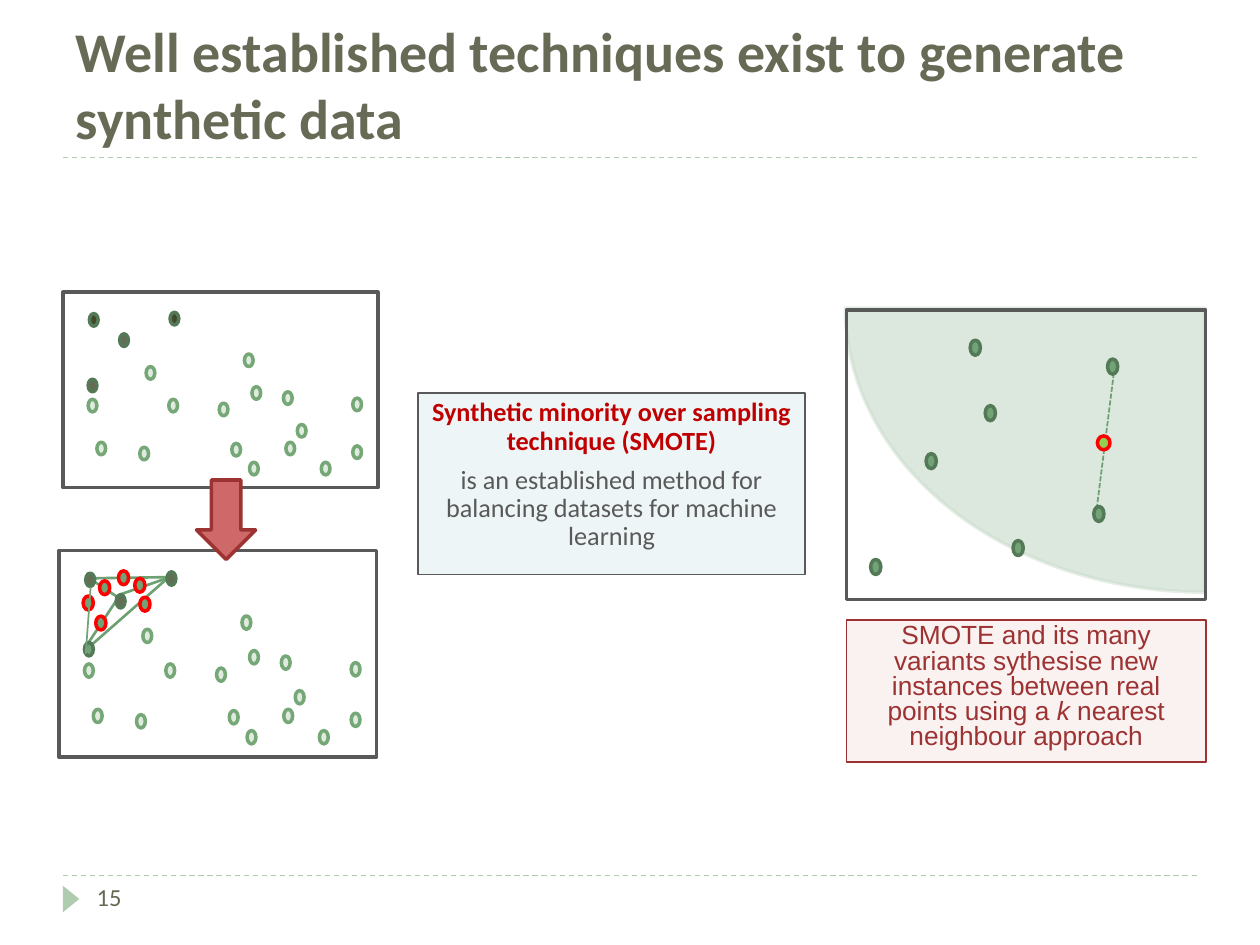
from lxml import etree
from pptx import Presentation
from pptx.dml.color import RGBColor
from pptx.enum.dml import MSO_LINE
from pptx.enum.shapes import MSO_CONNECTOR, MSO_SHAPE
from pptx.enum.text import MSO_ANCHOR, MSO_AUTO_SIZE, PP_ALIGN
from pptx.oxml.ns import qn
from pptx.util import Pt

RECTANGLE, OVAL = MSO_SHAPE.RECTANGLE, MSO_SHAPE.OVAL
TRIANGLE, DOWN_ARROW, PIE = MSO_SHAPE.ISOSCELES_TRIANGLE, MSO_SHAPE.DOWN_ARROW, MSO_SHAPE.PIE
DASH, FINE_DASH = MSO_LINE.DASH, MSO_LINE.SQUARE_DOT
STRAIGHT = MSO_CONNECTOR.STRAIGHT
LEFT, CENTER = PP_ALIGN.LEFT, PP_ALIGN.CENTER
TOP, BOTTOM = MSO_ANCHOR.TOP, MSO_ANCHOR.BOTTOM

COLORS = {
    "olive": "676A55", "dark olive": "45472B", "gray": "595959",
    "rule": "B0CCB0", "pale blue": "EEF5F7", "crimson": "C00000",
    "area": "AAC8AD", "area edge": "C7DAC8", "green": "72A376",
    "dark green": "547957", "link": "6EA172", "pale green": "DFEBDF",
    "ring": "76A776", "lime": "92D050", "red": "FF0000",
    "brick": "9D3232", "rose": "CF6868", "pale rose": "FAF1F1",
}

# Top left corners of the dots, measured from the corner of their panel.
MINORITY = [(15.1, 12.2), (61.2, 11.5), (32.4, 23.8), (14.4, 49.7)]
MAJORITY = [
    (47.5, 42.5), (60.5, 61.2), (165.6, 60.5), (89.3, 63.4),
    (14.4, 61.2), (106.6, 97.2), (103.7, 35.3), (133.9, 75.6),
    (108, 54), (165.6, 87.8), (43.9, 88.6), (126, 56.9),
    (127.4, 85.7), (19.4, 85.7), (147.6, 97.2), (96.5, 86.4),
]
SYNTHETIC = [(79.9, 341.3), (47.5, 340.6), (54.7, 352.1),
             (67.7, 326.2), (56.9, 331.9), (77, 330.5)]
LINKS = [
    (49.7, 370.8, 96.5, 329.8), (96.5, 329.8, 49.7, 330.5),
    (49.7, 368.6, 67.7, 341.3), (51.1, 330.5, 68.4, 342),
    (68.4, 339.8, 97.2, 329.8),
]
NEIGHBOURS = [(554.4, 194.4), (632.9, 205.2), (529.2, 259.2), (578.9, 308.9),
              (497.5, 319.7), (563, 231.8), (625, 289.4)]


def rgb(name):
    return RGBColor.from_string(COLORS[name])


def set_opacity(color_parent, percent):
    color = color_parent.find(".//" + qn("a:srgbClr"))
    etree.SubElement(color, qn("a:alpha"), val=str(percent * 1000))


class SlideBuilder:
    def __init__(self, slide):
        self.slide = slide
        self.shapes = slide.shapes

    def start_group(self):
        self.shapes = self.slide.shapes.add_group_shape().shapes

    def end_group(self):
        self.shapes = self.slide.shapes

    def shape(self, kind, left, top, width, height, fill=None, line=None, weight=2):
        shape = self.shapes.add_shape(kind, Pt(left), Pt(top), Pt(width), Pt(height))
        shape.shadow.inherit = False
        if fill:
            shape.fill.solid()
            shape.fill.fore_color.rgb = rgb(fill)
        else:
            shape.fill.background()
        if line:
            shape.line.color.rgb = rgb(line)
            shape.line.width = Pt(weight)
        else:
            shape.line.fill.background()
        return shape

    def line(self, x1, y1, x2, y2, color, weight, dash=None):
        connector = self.shapes.add_connector(STRAIGHT, Pt(x1), Pt(y1), Pt(x2), Pt(y2))
        connector.line.color.rgb = rgb(color)
        connector.line.width = Pt(weight)
        if dash:
            connector.line.dash_style = dash
        etree.SubElement(connector._element.spPr, qn("a:effectLst"))

    def dots(self, corners, width, height, fill, line):
        for left, top in corners:
            self.shape(OVAL, left, top, width, height, fill, line)

    def panel(self, left, top, width, height, minority_fills):
        """Draw a frame with the two classes of dots scaled to its size."""
        x_scale, y_scale = width / 180, height / 111.6
        size = 5 * x_scale, 7.2 * y_scale
        self.shape(RECTANGLE, left, top, width, height, line="gray")

        def place(corner):
            return left + corner[0] * x_scale, top + corner[1] * y_scale

        for corner, fill in zip(MINORITY, minority_fills):
            self.dots([place(corner)], *size, fill, "dark green")
        self.dots([place(corner) for corner in MAJORITY], *size, "pale green", "ring")

    def text(self, shape, paragraphs, font, size, color, align=CENTER, anchor=TOP,
             spacing=1, gap=0, insets=(7.2, 3.6)):
        """Fill a shape with paragraphs, each a list of (text, italic) runs."""
        frame = shape.text_frame
        frame.word_wrap = True
        frame.auto_size = MSO_AUTO_SIZE.NONE
        frame.vertical_anchor = anchor
        frame.margin_left = frame.margin_right = Pt(insets[0])
        frame.margin_top = frame.margin_bottom = Pt(insets[1])
        for index, runs in enumerate(paragraphs):
            paragraph = frame.add_paragraph() if index else frame.paragraphs[0]
            paragraph.alignment = align
            paragraph.line_spacing = spacing
            paragraph.space_before = Pt(gap if index else 0)
            for content, italic in runs:
                run = paragraph.add_run()
                run.text = content
                if italic:
                    run.font.italic = True
            paragraph.font.name = font
            paragraph.font.size = Pt(size)
            paragraph.font.color.rgb = rgb(color)
        return frame.paragraphs

    def title(self, content):
        title = self.slide.shapes.title
        title.left, title.top, title.width, title.height = Pt(36), Pt(12.2), Pt(648), Pt(77.8)
        heading, = self.text(title, [[(content, False)]], "Calibri", 32, "olive", LEFT, BOTTOM)
        heading.font.bold = True

    def number(self, content):
        box = self.shapes.add_textbox(Pt(48.2), Pt(500.4), Pt(156.2), Pt(28.8))
        self.text(box, [[(content, False)]], "Calibri", 14, "olive", LEFT)


def main():
    presentation = Presentation()
    presentation.slide_width, presentation.slide_height = Pt(720), Pt(540)
    builder = SlideBuilder(presentation.slides.add_slide(presentation.slide_layouts[5]))

    for y in (500.4, 90):
        builder.line(36, y, 684, y, "rule", 0.75, DASH)
    builder.shape(TRIANGLE, 33.1, 509, 15.1, 9.4, "rule").rotation = 90
    builder.title("Well established techniques exist to generate synthetic data")

    method = builder.shape(RECTANGLE, 239, 224.6, 221, 103.7, "pale blue", "gray", 1)
    heading, _ = builder.text(
        method,
        [[("Synthetic minority over sampling technique (SMOTE)", False)],
         [("is an established method for balancing datasets for machine learning", False)]],
        "Calibri", 15, "gray", spacing=0.9, gap=6)
    heading.font.bold = True
    heading.font.color.rgb = rgb("crimson")

    builder.start_group()
    area = builder.shape(PIE, 483.1, 13.7, 411.1, 324.7, "area", "area edge")
    area.adjustments[0], area.adjustments[1] = 54, 108
    properties = area._element.spPr
    set_opacity(properties.find(qn("a:solidFill")), 41)
    set_opacity(properties.find(qn("a:ln")), 46)
    builder.shape(RECTANGLE, 483.8, 177.1, 205.2, 165.6, line="gray")
    builder.line(636.5, 213.1, 626.4, 293, "link", 1, FINE_DASH)
    builder.dots(NEIGHBOURS, 5.8, 8.6, "green", "dark green")
    builder.dots([(627.1, 249.1)], 7.2, 7.9, "lime", "red")
    builder.end_group()

    summary = builder.shape(RECTANGLE, 483.8, 354.2, 205.2, 81.4, "pale rose", "brick", 1)
    builder.text(
        summary,
        [[("SMOTE and its many variants sythesise new instances between real points using a ", False),
          ("k", True), (" nearest neighbour approach", False)]],
        "Arial", 15, "brick", spacing=0.8, insets=(5, 2.9))

    builder.start_group()
    builder.panel(36, 167, 180, 111.6, ["dark olive"] * 2 + ["olive"] * 2)
    builder.start_group()
    for ends in LINKS:
        builder.line(*ends, "link", 1.5)
    builder.dots(SYNTHETIC, 5.8, 7.9, "green", "red")
    builder.panel(33.8, 314.6, 181.4, 118.1, ["olive"] * 3 + ["green"])
    builder.end_group()

    builder.shape(DOWN_ARROW, 112.3, 274.3, 33.8, 45.4, "rose", "brick")
    builder.line(51.8, 335.5, 49, 373.7, "green", 1)
    builder.number("15")
    presentation.save("out.pptx")


if __name__ == "__main__":
    main()
